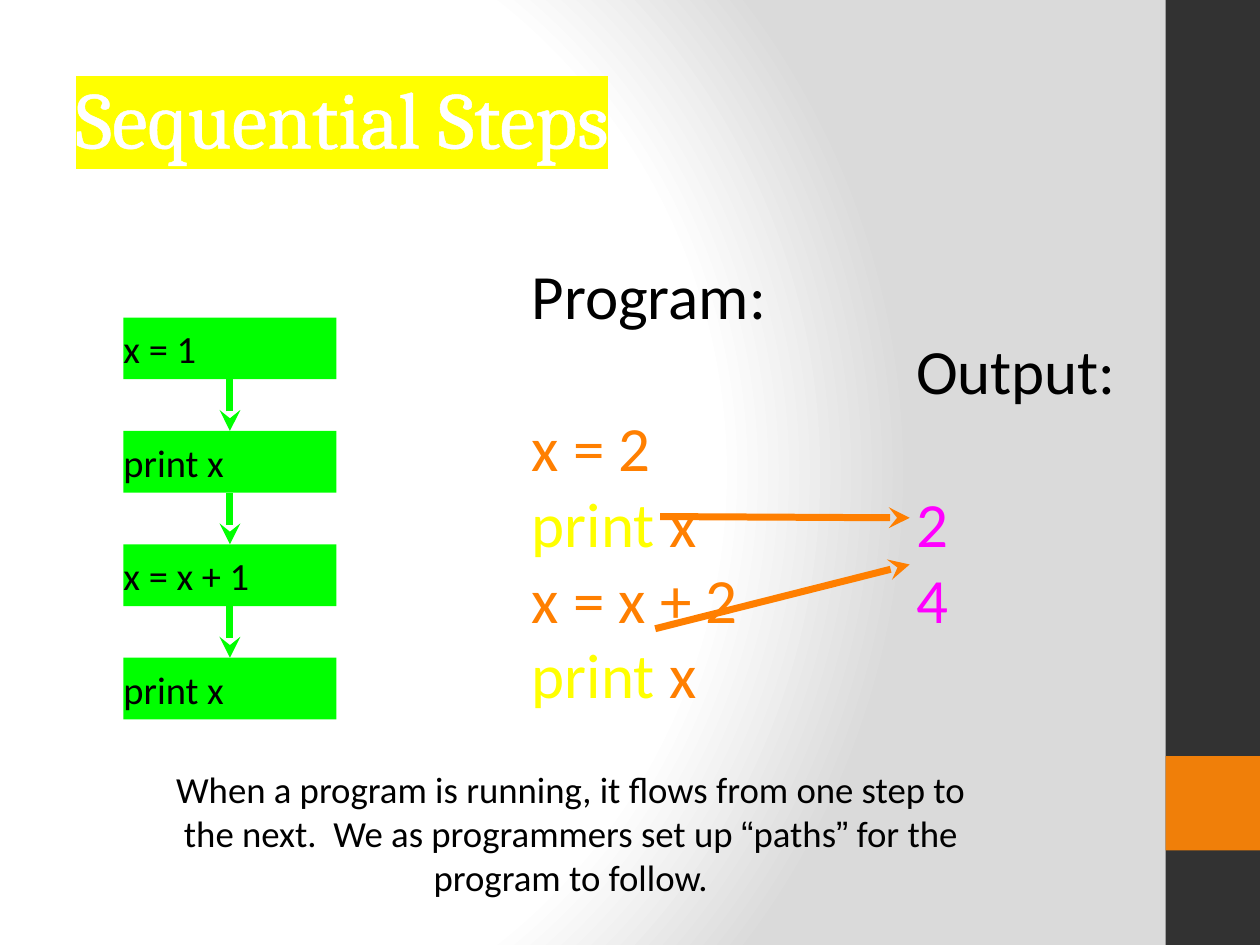
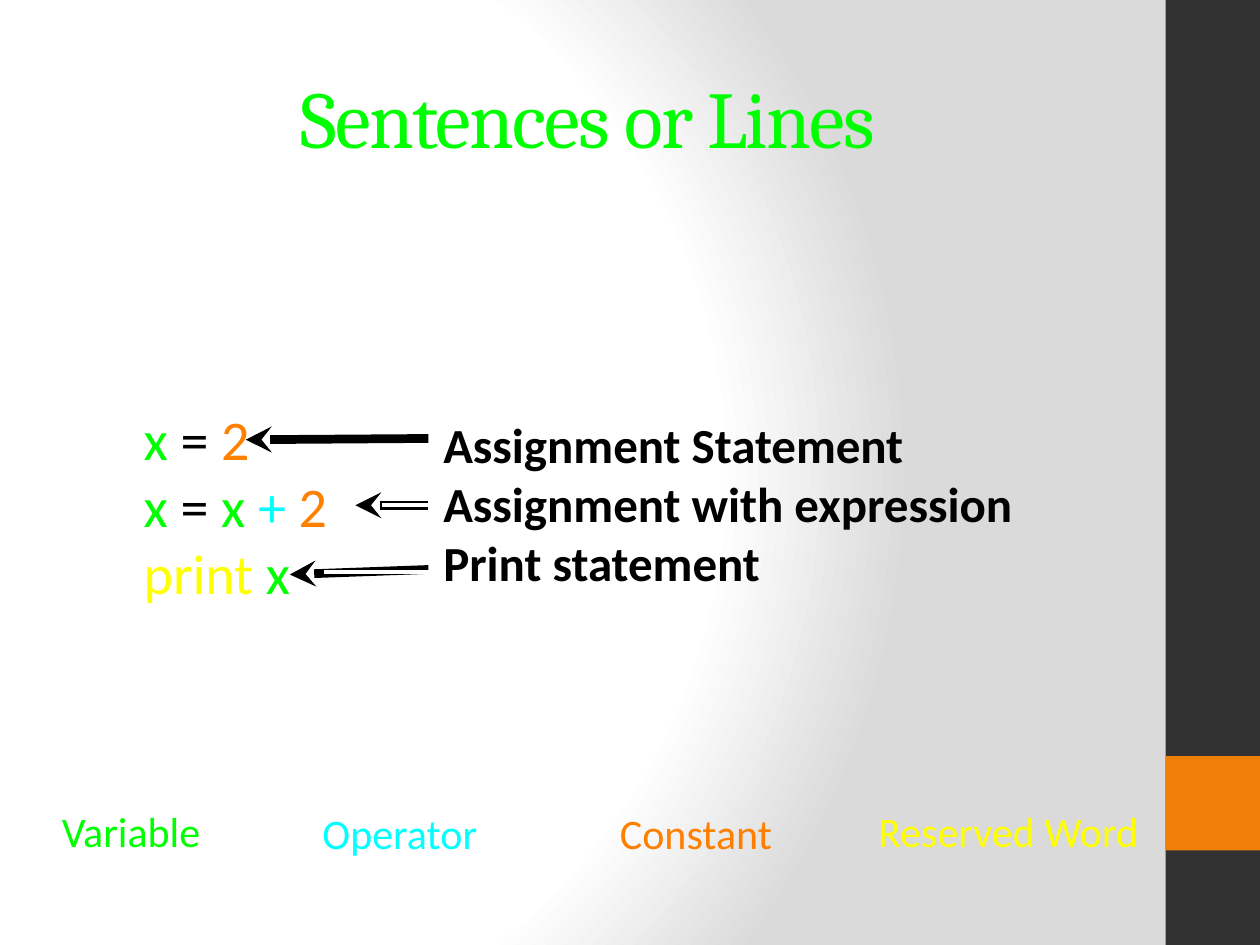
from lxml import etree
from pptx import Presentation
from pptx.dml.color import RGBColor
from pptx.enum.shapes import MSO_CONNECTOR, MSO_SHAPE
from pptx.enum.text import MSO_ANCHOR, PP_ALIGN
from pptx.oxml.ns import qn
from pptx.util import Inches, Pt

RECT, LINE = MSO_SHAPE.RECTANGLE, MSO_CONNECTOR.STRAIGHT
TOP, MID = MSO_ANCHOR.TOP, MSO_ANCHOR.MIDDLE
LEFT, CENTER = PP_ALIGN.LEFT, PP_ALIGN.CENTER
BLACK, WHITE, GREEN, YELLOW = "000000", "FFFFFF", "00FF00", "FFFF00"
ORANGE, CYAN, PINK = "FF7F00", "00FFFF", "FF00FF"
rgb = RGBColor.from_string

prs = Presentation()
prs.slide_width, prs.slide_height = Inches(10), Inches(7.5)
# Grid of 40 columns and 30 rows
col, row = prs.slide_width / 40, prs.slide_height / 30


def box(slide, x, y, w, h, lines=(), size=24, fill=None, bold=False,
        align=LEFT, anchor=MID, inset=0, wrap=True, gap=0):
    """Place text lines, each a list of (words, colour, font) runs."""
    place = [int(x * col), int(y * row), int(w * col), int(h * row)]
    if fill:
        shape = slide.shapes.add_shape(RECT, *place)
        shape.shadow.inherit = False
        shape.fill.solid()
        shape.fill.fore_color.rgb = rgb(fill)
        shape.line.fill.background()
    else:
        shape = slide.shapes.add_textbox(*place)
    frame = shape.text_frame
    frame.word_wrap, frame.vertical_anchor = wrap, anchor
    frame.margin_left = frame.margin_right = Inches(inset)
    frame.margin_top = frame.margin_bottom = Inches(inset / 2)
    for i, runs in enumerate(lines):
        para = frame.add_paragraph() if i else frame.paragraphs[0]
        para.alignment = align
        if i == 1 and gap:
            para.space_before = Pt(gap)
        for words, hue, *face in runs:
            run = para.add_run()
            run.text = words
            run.font.size, run.font.bold = Pt(size), bold
            run.font.color.rgb = rgb(hue)
            run.font.name = face[0] if face else "Calibri"
    return shape


def link(slide, x1, y1, x2, y2, hue, width, tip=True):
    """Draw a line whose arrowhead sits at its first point."""
    wire = slide.shapes.add_connector(
        LINE, int(x1 * col), int(y1 * row), int(x2 * col), int(y2 * row))
    wire.line.color.rgb, wire.line.width = rgb(hue), Pt(width)
    etree.SubElement(wire._element.spPr, qn("a:effectLst"))
    if tip:
        etree.SubElement(wire.line._get_or_add_ln(), qn("a:headEnd"), type="stealth")
    return wire


# Shared background: a white glow from the left that fades to grey
master = prs.slide_master
master.background.fill.gradient()
grad = master.element.find(".//" + qn("a:gradFill"))
for part in list(grad):
    grad.remove(part)
stops = etree.SubElement(grad, qn("a:gsLst"))
for pos, hue in (0, WHITE), (75, WHITE), (100, "DADADA"):
    stop = etree.SubElement(stops, qn("a:gs"), pos=str(pos * 1000))
    etree.SubElement(stop, qn("a:srgbClr"), val=hue)
glow = etree.SubElement(grad, qn("a:path"), path="circle")
etree.SubElement(glow, qn("a:fillToRect"), l="20000", t="50000", r="100000", b="50000")

# Shared side bands and titles
pages = []
for words, hue, align in (("Sequential Steps", WHITE, LEFT),
                          ("Sentences or Lines", GREEN, CENTER)):
    page = prs.slides.add_slide(prs.slide_layouts[5])
    box(page, 37, 0, 3, 30, fill="323232")
    box(page, 37, 24, 3, 3, fill="F07F09")
    title = page.shapes.title
    title.left, title.top = int(2 * col), int(1.2 * row)
    title.width, title.height = int(33.32 * col), int(5 * row)
    title.text_frame.vertical_anchor = MID
    para = title.text_frame.paragraphs[0]
    para.alignment = align
    run = para.add_run()
    run.text = words
    run.font.size, run.font.name = Pt(46), "Cambria"
    run.font.color.rgb = rgb(hue)
    pages.append((page, run._r.get_or_add_rPr()))
(steps, mark), (terms, tight) = pages

# Slide 1: highlighted and outlined title
edge = etree.Element(qn("a:ln"), w=str(Pt(1.45)))
paint = etree.SubElement(edge, qn("a:solidFill"))
etree.SubElement(paint, qn("a:srgbClr"), val=WHITE)
mark.insert(0, edge)
light = etree.Element(qn("a:highlight"))
etree.SubElement(light, qn("a:srgbClr"), val=YELLOW)
mark.find(qn("a:solidFill")).addnext(light)

# Program and its output
show = [("print", YELLOW), (" x", ORANGE)]
box(steps, 16.88, 8.08, 8.32, 14.56,
    [[("Program:", BLACK)], [("x = 2", ORANGE)], show, [("x = x + 2", ORANGE)], show],
    size=36, wrap=False, gap=44)
box(steps, 29.08, 10.52, 6.6, 9.68,
    [[("Output:", BLACK)], [("2", PINK)], [("4", PINK)]], size=36, wrap=False, gap=44)

# Flow of steps
last = None
for i, words in enumerate(("x = 1", "print x", "x = x + 1", "print x")):
    step = box(steps, 3.92, 10.08 + 3.6 * i, 6.76, 1.96, [[(words, BLACK)]], 22, GREEN)
    if last:
        wire = link(steps, 0, 0, 1, 1, GREEN, 4)
        wire.begin_connect(step, 0)
        wire.end_connect(last, 2)
    last = step

# Arrows from print to output
link(steps, 28.88, 16.44, 20.96, 16.4, ORANGE, 4)
link(steps, 28.88, 17.92, 20.8, 19.96, ORANGE, 4)

# Summary
box(steps, 4.72, 24.68, 26.8, 3.52, [[
    ("When a program is running, it flows from one step to the next.  "
     "We as programmers set up ", BLACK),
    ("“", BLACK, "Arial"), ("paths", BLACK), ("”", BLACK, "Arial"),
    (" for the program to follow.", BLACK)]], size=21, align=CENTER)

# Slide 2: tightened title and coloured code
tight.set("spc", "-100")
box(terms, 4.56, 12.8, 5.88, 6.48, [
    [("x ", GREEN), ("=", BLACK), (" 2", ORANGE)],
    [("x ", GREEN), ("= ", BLACK), ("x ", GREEN), ("+", CYAN), (" 2", ORANGE)],
    [("print ", YELLOW), ("x", GREEN)]], size=32, wrap=False)

# Arrows to the code, two of them hollowed by a white line
for x, y, end in (7.8, 13.96, 13.92), (11.28, 16.04, 16.04), (9.2, 18.24, 18.08):
    link(terms, x, y, 13.6, end, BLACK, 5)
for x, y in (12.12, 16.04), (10.28, 18.16):
    link(terms, x, y, x + 4.76, y, WHITE, 2, tip=False)

# Kinds of statement
box(terms, 13.68, 12.96, 19.52, 6.04,
    [[(words, BLACK)] for words in
     ("Assignment Statement", "Assignment with expression", "Print statement")],
    size=28, bold=True, anchor=TOP, inset=0.1)

# Colour key
for x, y, w, words, hue in ((1.96, 25.56, 4.84, "Variable", GREEN),
                            (10.24, 25.64, 5.32, "Operator", CYAN),
                            (19.68, 25.64, 5.4, "Constant", ORANGE),
                            (27.88, 25.56, 9.32, "Reserved Word", YELLOW)):
    box(terms, x, y, w, 1.6, [[(words, hue)]], wrap=False)

prs.save("out.pptx")
